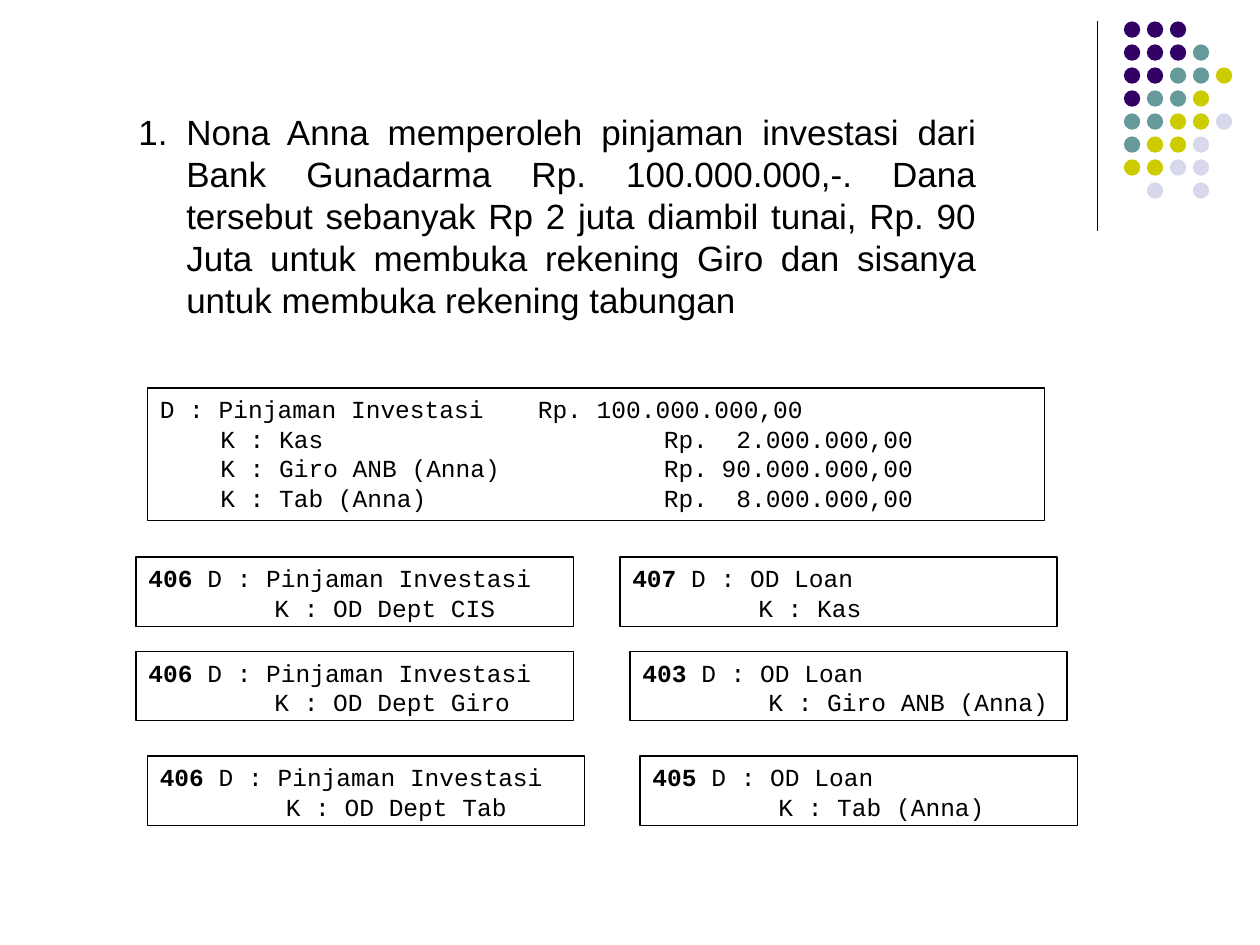
import pptx
import pptx.util
import pptx.dml.color
import pptx.enum.shapes
import pptx.enum.text
import pptx.oxml
import pptx.oxml.ns
import lxml.etree

Inches = pptx.util.Inches
Pt = pptx.util.Pt
SHAPE = pptx.enum.shapes.MSO_SHAPE
ALIGN = pptx.enum.text.PP_ALIGN
qn = pptx.oxml.ns.qn

COLORS = {
    "text": "000000",
    "box": "FFFFFF",
    "P": "330066",  # purple
    "T": "669999",  # teal
    "Y": "CCCC00",  # yellow
    "L": "D8D8EC",  # lavender
}


def rgb(name):
    return pptx.dml.color.RGBColor.from_string(COLORS[name])


def add_entry_box(left, top, width, height, lines):
    """Bordered box; each line is (tab stops, runs), each run is (text, bold)."""
    sp = s.shapes.add_shape(SHAPE.RECTANGLE, Inches(left), Inches(top),
                            Inches(width), Inches(height))
    sp.shadow.inherit = False
    sp.fill.solid()
    sp.fill.fore_color.rgb = rgb("box")
    sp.line.color.rgb = rgb("text")
    sp.line.width = Pt(0.75)
    tf = sp.text_frame
    tf.word_wrap = True
    tf.vertical_anchor = pptx.enum.text.MSO_ANCHOR.TOP
    for i, (stops, runs) in enumerate(lines):
        p = tf.paragraphs[0] if i == 0 else tf.add_paragraph()
        p.alignment = ALIGN.LEFT
        p.line_spacing = Pt(16.8)
        if stops:
            tabs = lxml.etree.SubElement(p._p.get_or_add_pPr(), qn("a:tabLst"))
            for pos, algn in stops:
                lxml.etree.SubElement(tabs, qn("a:tab"), pos=str(Inches(pos)), algn=algn)
        for text, bold in runs:
            r = p.add_run()
            r.text = text
            r.font.name = "Courier New"
            r.font.size = Pt(14)
            r.font.bold = bold
            r.font.color.rgb = rgb("text")


prs = pptx.Presentation()
prs.slide_width = Inches(10)
prs.slide_height = Inches(7.5)
s = prs.slides.add_slide(prs.slide_layouts[6])

# Vertical rule
rule = s.shapes.add_connector(pptx.enum.shapes.MSO_CONNECTOR.STRAIGHT,
                              Inches(8.71), Inches(0.17), Inches(8.71), Inches(1.83))
rule.line.color.rgb = rgb("text")
rule.line.width = Pt(0.75)
lxml.etree.SubElement(rule._element.spPr, qn("a:effectLst"))

# Dot pattern, one letter per dot
dot_rows = ["PPP", "PPPT", "PPTTY", "PTTY", "TTYYL", "TYYL", "YYLL", " L L"]
dot_pitch = 0.73 / 4
dots = s.shapes.add_group_shape()
for row, letters in enumerate(dot_rows):
    for col, letter in enumerate(letters):
        if letter == " ":
            continue
        sp = dots.shapes.add_shape(SHAPE.OVAL, Inches(8.92 + col * dot_pitch),
                                   Inches(0.17 + row * dot_pitch),
                                   Inches(0.13), Inches(0.13))
        sp.shadow.inherit = False
        sp.fill.solid()
        sp.fill.fore_color.rgb = rgb(letter)
        sp.line.fill.background()

# Numbered question
tf = s.shapes.add_textbox(Inches(1), Inches(0.83), Inches(6.85), Inches(1.77)).text_frame
tf.word_wrap = True
p = tf.paragraphs[0]
p.alignment = ALIGN.JUSTIFY
p.line_spacing = Pt(24)
pPr = p._p.get_or_add_pPr()
pPr.set("marL", str(Inches(0.38)))
pPr.set("indent", str(-Inches(0.38)))
bullet_color = lxml.etree.SubElement(pPr, qn("a:buClr"))
lxml.etree.SubElement(bullet_color, qn("a:srgbClr"), val=COLORS["text"])
lxml.etree.SubElement(pPr, qn("a:buFont"), typeface="Arial")
lxml.etree.SubElement(pPr, qn("a:buAutoNum"), type="arabicPeriod")
r = p.add_run()
r.text = ("Nona Anna memperoleh pinjaman investasi dari Bank Gunadarma "
          "Rp. 100.000.000,-. Dana tersebut sebanyak Rp 2 juta diambil tunai, "
          "Rp. 90 Juta untuk membuka rekening Giro dan sisanya untuk membuka "
          "rekening tabungan")
r.font.name = "Arial"
r.font.size = Pt(20)
r.font.color.rgb = rgb("text")

# Summary journal: amounts right-aligned at the last stop
credits = [("Kas", "2.000.000,00"),
           ("Giro ANB (Anna)", "90.000.000,00"),
           ("Tab (Anna)", "8.000.000,00")]
credit_stops = [(0.48, "l"), (4, "l"), (5.98, "r")]
journal = [([(3, "l")], [("D : Pinjaman Investasi\tRp. 100.000.000,00", False)])]
for account, amount in credits:
    journal.append((credit_stops, [(f"\tK : {account}\tRp.\t{amount}", False)]))
add_entry_box(1.17, 3.08, 7.12, 1.05, journal)

# Journal entries by transaction code
entries = [
    (1.08, 4.42, "406", "Pinjaman Investasi", "OD Dept CIS"),
    (4.92, 4.42, "407", "OD Loan", "Kas"),
    (5, 5.17, "403", "OD Loan", "Giro ANB (Anna)"),
    (5.08, 6, "405", "OD Loan", "Tab (Anna)"),
    (1.08, 5.17, "406", "Pinjaman Investasi", "OD Dept Giro"),
    (1.17, 6, "406", "Pinjaman Investasi", "OD Dept Tab"),
]
for left, top, code, debit, credit in entries:
    add_entry_box(left, top, 3.47, 0.55, [
        ([], [(code, True), (f" D : {debit}", False)]),
        ([(1, "l")], [(f"\tK : {credit}", False)]),
    ])

prs.save("out.pptx")
